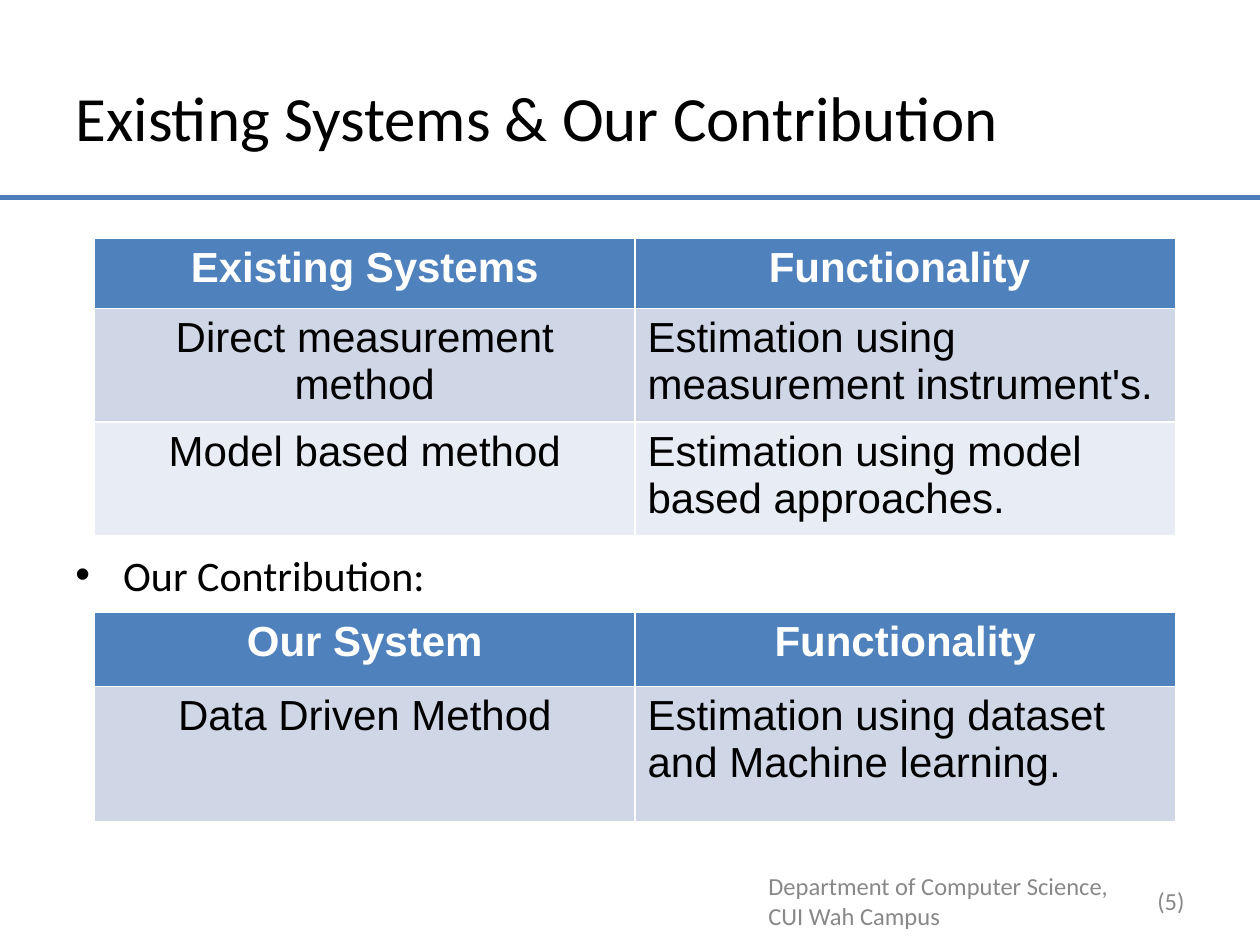
from lxml import etree
from pptx import Presentation, util as u
from pptx.dml.color import RGBColor
from pptx.enum import shapes, text
from pptx.oxml import ns

COLORS = {
    "text": "000000", "footer": "888888", "rule": "4A7DBA",
    "header": "4F81BD", "header_text": "FFFFFF",
    "band_dark": "CFD7E7", "band_light": "E8ECF4",
}
ALIGN = text.PP_ALIGN


def style(paragraph, font_name, size, color, align=ALIGN.LEFT, bold=False):
    paragraph.alignment = align
    font = paragraph.font
    font.name, font.size, font.bold = font_name, u.Pt(size), bold
    font.color.rgb = RGBColor.from_string(COLORS[color])


presentation = Presentation()
presentation.slide_width, presentation.slide_height = u.Inches(10), u.Inches(7.5)
slide = presentation.slides.add_slide(presentation.slide_layouts[5])

title = slide.shapes.title
title.left, title.top = u.Inches(0.5), u.Inches(0.3)
title.width, title.height = u.Inches(9), u.Inches(1.25)
title.text_frame.text = "Existing Systems & Our Contribution"
style(title.text_frame.paragraphs[0], "Calibri", 36, "text")

rule = slide.shapes.add_connector(
    shapes.MSO_CONNECTOR.STRAIGHT, 0, u.Inches(1.57), u.Inches(10), u.Inches(1.57))
rule.line.width = u.Pt(3)
rule.line.color.rgb = RGBColor.from_string(COLORS["rule"])
etree.SubElement(rule._element.spPr, ns.qn("a:effectLst"))

MIDDLE, TOP = text.MSO_ANCHOR.MIDDLE, text.MSO_ANCHOR.TOP
text_boxes = [
    ("Our Contribution:", 0.5, 4.31, 9, 0.5, 24, "text", ALIGN.LEFT, TOP),
    ("(5)", 7.17, 6.95, 2.33, 0.4, 14, "footer", ALIGN.RIGHT, MIDDLE),
    ("Department of Computer Science, CUI Wah Campus",
     6, 6.95, 3.17, 0.4, 14, "footer", ALIGN.LEFT, MIDDLE),
]
for wording, left, top, width, height, size, color, align, anchor in text_boxes:
    box = slide.shapes.add_textbox(*map(u.Inches, (left, top, width, height)))
    frame = box.text_frame
    frame.word_wrap = True
    frame.vertical_anchor = anchor
    frame.text = wording
    paragraph = frame.paragraphs[0]
    style(paragraph, "Calibri", size, color, align)
    if wording == "Our Contribution:":
        properties = paragraph._p.get_or_add_pPr()
        properties.set("marL", str(u.Inches(0.38)))
        properties.set("indent", str(u.Inches(-0.38)))
        bullet_font = etree.Element(ns.qn("a:buFont"), typeface="Arial")
        bullet = etree.Element(ns.qn("a:buChar"), char="•")
        properties.insert(0, bullet_font)
        properties.insert(1, bullet)

tables = [
    (1.89, [0.56, 0.56, 0.56], [
        ("Existing Systems", "Functionality "),
        ("Direct measurement method", "Estimation using measurement instrument's."),
        ("Model based method", "Estimation using model based approaches."),
    ]),
    (4.86, [0.59, 1.07], [
        ("Our System", "Functionality"),
        ("Data Driven Method", "Estimation using dataset and Machine learning."),
    ]),
]
row_fills = ["header", "band_dark", "band_light"]
for top, heights, rows in tables:
    table = slide.shapes.add_table(
        len(rows), 2, u.Inches(0.75), u.Inches(top),
        u.Inches(8.58), u.Inches(sum(heights))).table
    for row_index, (height, row) in enumerate(zip(heights, rows)):
        table.rows[row_index].height = u.Inches(height)
        is_header = row_index == 0
        for column_index, wording in enumerate(row):
            cell = table.cell(row_index, column_index)
            cell.fill.solid()
            cell.fill.fore_color.rgb = RGBColor.from_string(COLORS[row_fills[row_index]])
            cell.text = wording
            style(cell.text_frame.paragraphs[0], "Arial", 24,
                  "header_text" if is_header else "text",
                  ALIGN.CENTER if is_header or column_index == 0 else ALIGN.LEFT,
                  is_header)

presentation.save("out.pptx")
